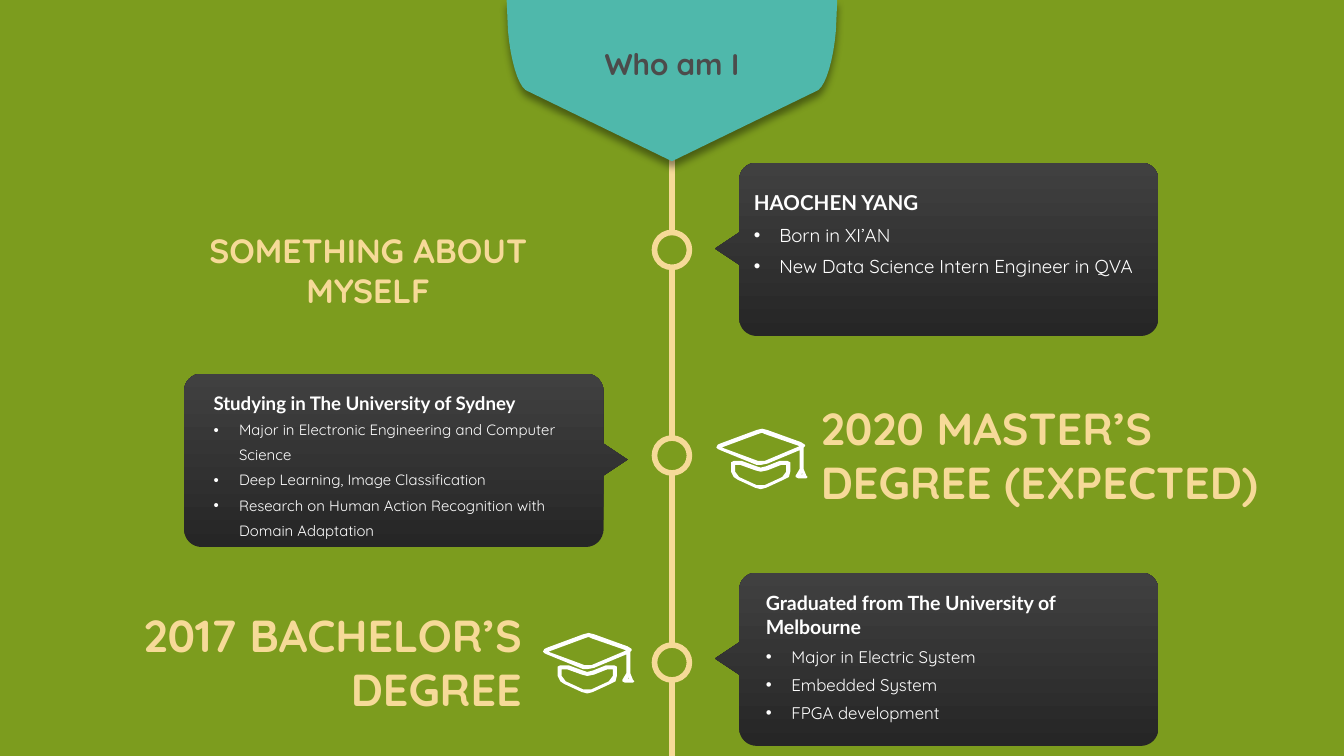
"""Build the "Who am I" timeline slide."""
from math import cos, pi, sin
from typing import NamedTuple

from lxml.etree import SubElement
from pptx import Presentation
from pptx.dml.color import RGBColor as Rgb
from pptx.enum.shapes import MSO_CONNECTOR as Connector, MSO_SHAPE as Shape
from pptx.enum.text import MSO_ANCHOR as Anchor, MSO_AUTO_SIZE as AutoSize, PP_ALIGN as Align
from pptx.oxml.ns import qn
from pptx.util import Inches, Pt

COLORS = {
    "green": "7C9C1E", "sand": "F6DA98", "teal": "4FB8AB", "ink": "4C4B4B",
    "white": "FFFFFF", "dark": "262626", "grey": "404040", "black": "000000",
}
Point = tuple[float, float]
Box = tuple[float, float, float, float]
SLIDE_WIDTH = Inches(10)
SLIDE_HEIGHT = SLIDE_WIDTH * 9 // 16
AXIS = 5
CARD_WIDTH, CARD_HEIGHT, CORNER = 3.12, 1.29, 0.13
TAIL_LENGTH, TAIL_MIDDLE, TAIL_HALF = 0.18, 0.64, 0.12
MARKER_SIZE = 0.26

CAP_BASE = [
    [(0.33, 0.45), (0.29, 0.44), (0.16, 0.38), (0.13, 0.36), (0.11, 0.32), (0.11, 0.25),
     (0.13, 0.24), (0.19, 0.24), (0.30, 0.28), (0.33, 0.29), (0.37, 0.28), (0.47, 0.24),
     (0.53, 0.24), (0.55, 0.25), (0.55, 0.32), (0.54, 0.36), (0.50, 0.38), (0.37, 0.44)],
    [(0.14, 0.27), (0.14, 0.32), (0.17, 0.36), (0.30, 0.42), (0.33, 0.42), (0.36, 0.42),
     (0.49, 0.36), (0.52, 0.32), (0.52, 0.27), (0.48, 0.27), (0.38, 0.31), (0.33, 0.32),
     (0.29, 0.31), (0.18, 0.27)],
]
CAP_BOARD = [
    [(0.66, 0.37), (0.61, 0.37), (0.59, 0.36), (0.59, 0.35), (0.62, 0.30), (0.62, 0.16),
     (0.38, 0.26), (0.33, 0.27), (0.30, 0.27), (0.03, 0.16), (0.01, 0.15), (0, 0.14),
     (0.01, 0.12), (0.03, 0.11), (0.30, 0.01), (0.34, 0), (0.38, 0.01), (0.63, 0.10),
     (0.66, 0.12), (0.66, 0.13), (0.65, 0.14), (0.65, 0.30), (0.67, 0.35), (0.68, 0.36),
     (0.67, 0.37)],
    [(0.63, 0.34), (0.64, 0.34), (0.64, 0.33)],
    [(0.04, 0.14), (0.31, 0.24), (0.33, 0.24), (0.36, 0.24), (0.62, 0.13), (0.36, 0.04),
     (0.34, 0.03), (0.31, 0.04)],
]


class Style(NamedTuple):
    size: float
    color: str
    font: str = "Quicksand"
    bold: bool = True


class Card(NamedTuple):
    left: float
    top: float
    tail_right: bool
    text_box: Box
    heading: str
    heading_size: float
    bullets: list[str]
    bullet_size: float


class Milestone(NamedTuple):
    text: str
    box: Box
    size: float
    align: Align
    anchor: Anchor
    marker_top: float
    cap: Point | None = None


CARDS = [
    Card(5.5, 1.21, False, (5.51, 1.37, 3.11, 0.96), "HAOCHEN YANG", 11,
         ["Born in XI’AN", "New Data Science Intern Engineer in QVA"], 10),
    Card(1.37, 2.78, True, (1.49, 2.85, 2.85, 1.2), "Studying in The University of Sydney", 10,
         ["Major in Electronic Engineering and Computer Science",
          "Deep Learning, Image Classification",
          "Research on Human Action Recognition with Domain Adaptation"], 8),
    Card(5.5, 4.26, False, (5.6, 4.34, 2.85, 1.27),
         "Graduated from The University of Melbourne", 10.5,
         ["Major in Electric System", "Embedded System", "FPGA development"], 9),
]
MILESTONES = [
    Milestone("SOMETHING ABOUT MYSELF", (1, 1.66, 3.48, 0.4), 18, Align.CENTER, Anchor.TOP, 1.73),
    Milestone("2020 MASTER’S DEGREE (EXPECTED)", (6.01, 2.93, 3.68, 0.91), 24,
              Align.LEFT, Anchor.MIDDLE, 3.26, (5.33, 3.19)),
    Milestone("2017 BACHELOR’S DEGREE", (0.17, 4.47, 3.81, 0.91), 24,
              Align.RIGHT, Anchor.MIDDLE, 4.8, (4.04, 4.71)),
]


def rgb(name: str) -> Rgb:
    return Rgb.from_string(COLORS[name])


def set_values(target, values: dict) -> None:
    for name, value in values.items():
        setattr(target, name, value)


def paint(shape, color: str) -> None:
    shape.fill.solid()
    shape.fill.fore_color.rgb = rgb(color)


def outline(shape) -> None:
    shape.line.color.rgb = rgb("sand")
    shape.line.width = Pt(3)


def add_outline(page, contours: list[list[Point]], origin: Point = (0, 0)):
    placed = [[(Inches(origin[0] + x), Inches(origin[1] + y)) for x, y in contour]
              for contour in contours]
    builder = page.shapes.build_freeform(*placed[0][0], scale=1.0)
    for index, contour in enumerate(placed):
        if index:
            builder.move_to(*contour[0])
        builder.add_line_segments(contour[1:], close=True)
    shape = builder.convert_to_shape()
    shape.shadow.inherit = False
    shape.line.fill.background()
    return shape


def write(para, text: str, style: Style) -> None:
    span = para.add_run()
    span.text = text
    set_values(span.font, {"name": style.font, "size": Pt(style.size), "bold": style.bold})
    span.font.color.rgb = rgb(style.color)


def fit_frame(frame, anchor: Anchor) -> None:
    set_values(frame, {"word_wrap": True, "auto_size": AutoSize.SHAPE_TO_FIT_TEXT,
                       "vertical_anchor": anchor})


def add_text_frame(page, box: Box, anchor: Anchor = Anchor.TOP):
    frame = page.shapes.add_textbox(*map(Inches, box)).text_frame
    fit_frame(frame, anchor)
    return frame


def card_points(card: Card) -> list[Point]:
    points = []
    corners = [(CARD_WIDTH - CORNER, CORNER, -90),
               (CARD_WIDTH - CORNER, CARD_HEIGHT - CORNER, 0),
               (CORNER, CARD_HEIGHT - CORNER, 90), (CORNER, CORNER, 180)]
    for x, y, start in corners:
        for step in range(9):
            angle = (start + step * 90 / 8) * pi / 180
            points.append((x + CORNER * cos(angle), y + CORNER * sin(angle)))
        if start == 90:
            points += [(0, TAIL_MIDDLE + TAIL_HALF), (-TAIL_LENGTH, TAIL_MIDDLE),
                       (0, TAIL_MIDDLE - TAIL_HALF)]
    return [(CARD_WIDTH - x, y) for x, y in points] if card.tail_right else points


def add_card(page, card: Card) -> None:
    shape = add_outline(page, [card_points(card)], (card.left, card.top))
    shape.fill.gradient()
    shape.fill.gradient_angle = 90
    for stop, color in zip(shape.fill.gradient_stops, ("dark", "grey")):
        stop.color.rgb = rgb(color)
    frame = add_text_frame(page, card.text_box)
    heading = frame.paragraphs[0]
    heading.line_spacing = Pt(13)
    write(heading, card.heading, Style(card.heading_size, "white", "Lato"))
    for text in card.bullets:
        para = frame.add_paragraph()
        para.line_spacing = 1.4
        write(para, text, Style(card.bullet_size, "white", bold=False))
        props = para._p.get_or_add_pPr()
        props.set("marL", str(Inches(0.19)))
        props.set("indent", str(-Inches(0.19)))
        SubElement(props, qn("a:buFont"), typeface="Arial")
        SubElement(props, qn("a:buChar"), char="•")


def add_milestone(page, item: Milestone) -> None:
    marker = page.shapes.add_shape(Shape.OVAL, Inches(AXIS - MARKER_SIZE / 2),
                                   Inches(item.marker_top), Inches(MARKER_SIZE), Inches(MARKER_SIZE))
    marker.shadow.inherit = False
    paint(marker, "green")
    outline(marker)
    para = add_text_frame(page, item.box, item.anchor).paragraphs[0]
    para.alignment = item.align
    write(para, item.text, Style(item.size, "sand"))
    if item.cap:
        for contours in (CAP_BASE, CAP_BOARD):
            paint(add_outline(page, contours, item.cap), "white")


def add_axis(page) -> None:
    axis = page.shapes.add_connector(Connector.STRAIGHT, Inches(AXIS), Inches(1.04),
                                     Inches(AXIS), SLIDE_HEIGHT)
    outline(axis)
    SubElement(axis._element.spPr, qn("a:effectLst"))


def add_badge(page) -> None:
    curve = [(6.22, 0.23), (6.2, 0.45), (6.15, 0.62), (6.09, 0.67)]
    side = [(6.23, 0)]
    for step in range(9):
        t = step / 8
        weights = ((1 - t) ** 3, 3 * t * (1 - t) ** 2, 3 * t * t * (1 - t), t ** 3)
        side.append(tuple(sum(w * p[i] for w, p in zip(weights, curve)) for i in (0, 1)))
    side.append((6.07, 0.68))
    mirrored = [(2 * AXIS - x, y) for x, y in reversed(side)]
    badge = add_outline(page, [side + [(AXIS, 1.2)] + mirrored])
    paint(badge, "teal")
    effects = badge._element.spPr.find(qn("a:effectLst"))
    shadow = SubElement(effects, qn("a:outerShdw"), blurRad=str(Pt(4)), dist=str(Pt(3)),
                        dir="5400000", algn="t", rotWithShape="0")
    color = SubElement(shadow, qn("a:srgbClr"), val=COLORS["black"])
    SubElement(color, qn("a:alpha"), val="40000")


def place_title(page) -> None:
    title = page.shapes.title
    set_values(title, {"left": Inches(3.78), "top": Inches(0.29),
                       "width": Inches(2.44), "height": Inches(0.37)})
    fit_frame(title.text_frame, Anchor.MIDDLE)
    para = title.text_frame.paragraphs[0]
    para.alignment = Align.CENTER
    write(para, "Who am I", Style(16, "ink"))
    title.element.getparent().append(title.element)


def main() -> None:
    deck = Presentation()
    set_values(deck, {"slide_width": SLIDE_WIDTH, "slide_height": SLIDE_HEIGHT})
    page = deck.slides.add_slide(deck.slide_layouts[5])
    paint(page.background, "green")
    add_axis(page)
    add_badge(page)
    place_title(page)
    for card in CARDS:
        add_card(page, card)
    for item in MILESTONES:
        add_milestone(page, item)
    deck.save("out.pptx")


if __name__ == "__main__":
    main()
